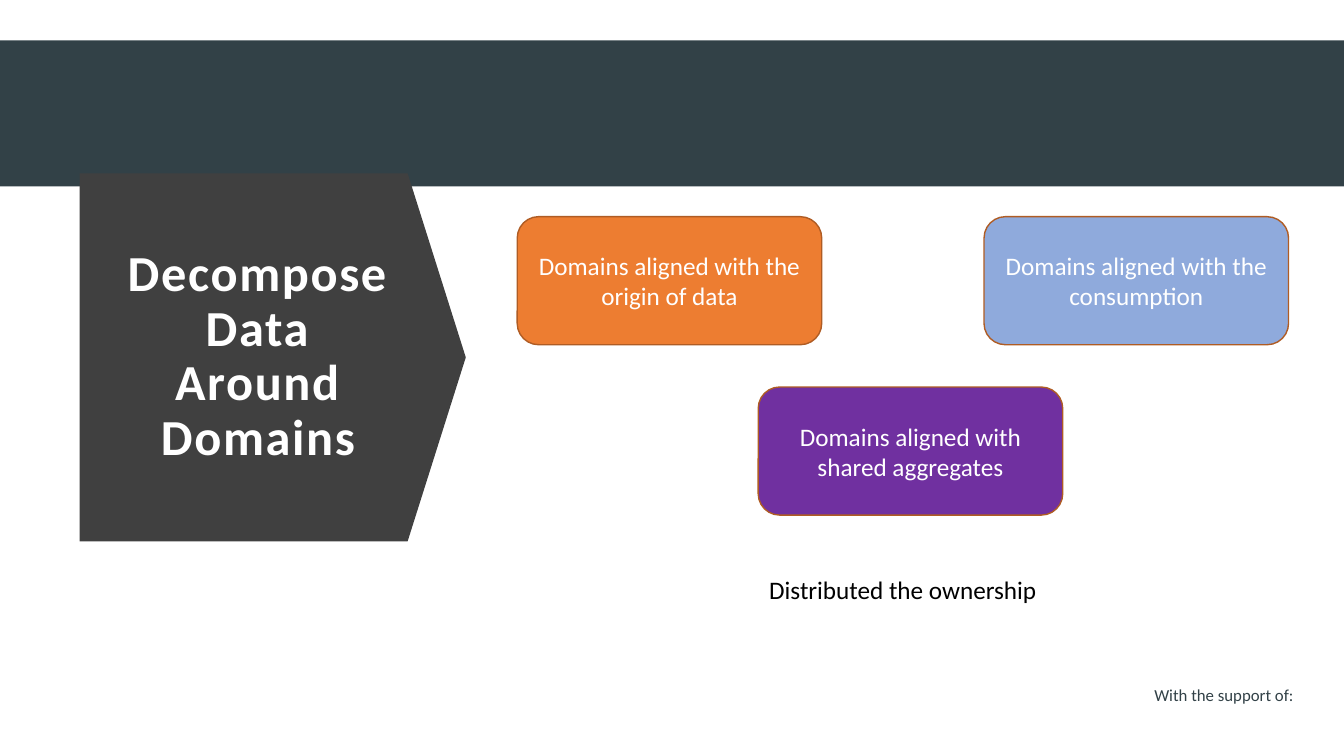
from pptx import Presentation
from pptx.dml.color import RGBColor
from pptx.enum.shapes import MSO_SHAPE as Kind
from pptx.enum.text import MSO_ANCHOR as Anchor, MSO_AUTO_SIZE as Fit, PP_ALIGN as Align
from pptx.util import Inches, Pt

HUES = {
    "slate": "324147", "gray": "404040", "edge": "AF5C24", "white": "FFFFFF",
    "black": "000000", "orange": "ED7D31", "purple": "7030A0", "blue": "8FAADC",
}


def hue(name):
    return RGBColor.from_string(HUES[name])


def place(box):
    return [Inches(n) for n in box]


def draw(slide, kind, box, fill, edge=None):
    shape = slide.shapes.add_shape(kind, *place(box))
    shape.shadow.inherit = False
    shape.fill.solid()
    shape.fill.fore_color.rgb = hue(fill)
    if edge:
        shape.line.color.rgb = hue(edge)
        shape.line.width = Pt(1)
    else:
        shape.line.fill.background()
    return shape


def write(shape, text, size, color, bold=False, anchor=Anchor.MIDDLE, wrap=True):
    frame = shape.text_frame
    frame.word_wrap = wrap
    frame.vertical_anchor = anchor
    para = frame.paragraphs[0]
    para.alignment = Align.CENTER
    run = para.add_run()
    run.text = text
    font = run.font
    font.name = "Calibri"
    font.size = Pt(size)
    font.bold = bold
    font.color.rgb = hue(color)
    return para


def label(slide, box, text, size, color, wrap=True):
    note = slide.shapes.add_textbox(*place(box))
    write(note, text, size, color, anchor=Anchor.TOP, wrap=wrap)
    note.text_frame.auto_size = Fit.SHAPE_TO_FIT_TEXT


def frame_page(slide, box):
    left, top, width, height = box
    draw(slide, Kind.RECTANGLE, (left, top + 0.4, width, 1.45), "slate")
    credit = (left + width - 1.99, top + height - 0.76, 1.6, 0.3)
    label(slide, credit, "With the support of:", 12, "slate", wrap=False)


def head(slide, box):
    left, top, width, height = box
    arrow = draw(slide, Kind.DOWN_ARROW, box, "gray")
    arrow.rotation = 270
    arrow.adjustments[0] = 1
    arrow.adjustments[1] = 0.158
    title = slide.shapes.title
    title.left, title.top, title.width, title.height = place(
        (left + 0.24, top + 0.52, width - 0.77, height - 1.04))
    para = write(title, "Decompose Data Around Domains", 36, "white", bold=True)
    para.line_spacing = 0.9
    title.text_frame.auto_size = Fit.NONE
    for props in title.element.xpath(".//a:rPr"):
        props.set("spc", "120")
    arrow.element.addnext(title.element)


def domains(slide, box):
    left, top, width, height = box
    wide, tall = 3.02, 1.27
    cards = (
        (0, 0, "orange", "origin of data", "with the"),
        (2.39, 1.69, "purple", "aggregates", "with shared"),
        (width - wide, 0, "blue", "consumption", "with the"),
    )
    for dx, dy, fill, topic, link in cards:
        card = draw(slide, Kind.ROUNDED_RECTANGLE,
                    (left + dx, top + dy, wide, tall), fill, "edge")
        write(card, f"Domains aligned {link} {topic}", 18, "white")
    label(slide, (left, top + height - 0.4, width, 0.4),
          "Distributed the ownership", 18, "black")


def main():
    deck = Presentation()
    deck.slide_width, deck.slide_height = Inches(13.33), Inches(7.5)
    slide = deck.slides.add_slide(deck.slide_layouts[5])
    frame_page(slide, (0, 0, 13.33, 7.5))
    head(slide, (0.88, 1.63, 3.65, 3.83))
    domains(slide, (5.13, 2.15, 7.65, 3.9))
    deck.save("out.pptx")


if __name__ == "__main__":
    main()
